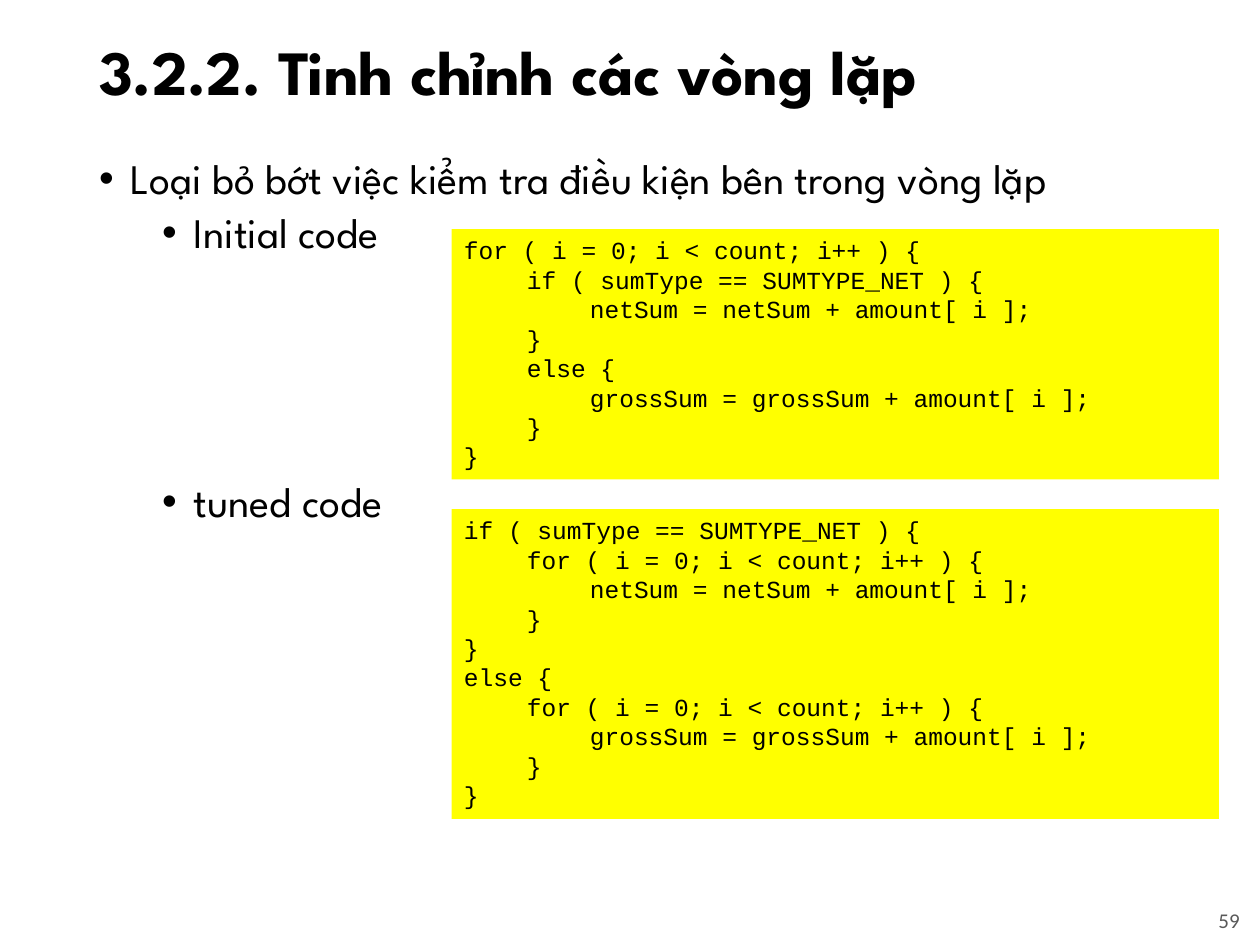
import pptx
import pptx.util
import pptx.dml.color
import pptx.enum.shapes
import pptx.enum.text
import pptx.oxml.ns
import lxml.etree
from dataclasses import dataclass

Pt = pptx.util.Pt
ALIGN = pptx.enum.text.PP_ALIGN
ANCHOR = pptx.enum.text.MSO_ANCHOR
COLORS = {"text": "000000", "code": "FFFF00", "number": "595959"}
STEP = 36


@dataclass
class Bullet:
    text: str
    level: int
    indent: float
    before: float


@dataclass
class CodeBox:
    top: float
    height: float
    lines: list[tuple[int, str]]


BULLETS = [
    Bullet("Loại bỏ bớt việc kiểm tra điều kiện bên trong vòng lặp", 0, 18, 10),
    Bullet("Initial code", 1, 54, 5),
    Bullet("tuned code", 1, 54, 128),
]
FOR = "for ( i = 0; i < count; i++ ) {"
IF = "if ( sumType == SUMTYPE_NET ) {"
ELSE = "else {"
NET = "netSum = netSum + amount[ i ];"
GROSS = "grossSum = grossSum + amount[ i ];"
END = "}"
CODE_BOXES = [
    CodeBox(131, 143, [(0, FOR), (1, IF), (2, NET), (1, END),
                       (1, ELSE), (2, GROSS), (1, END), (0, END)]),
    CodeBox(291, 177, [(0, IF), (1, FOR), (2, NET), (1, END), (0, END),
                       (0, ELSE), (1, FOR), (2, GROSS), (1, END), (0, END)]),
]


def rgb(name: str):
    return pptx.dml.color.RGBColor.from_string(COLORS[name])


def apply(obj, values: dict) -> None:
    for name, value in values.items():
        setattr(obj, name, value)


def place(sp, left: float, top: float, width: float, height: float) -> None:
    apply(sp, {"left": Pt(left), "top": Pt(top), "width": Pt(width), "height": Pt(height)})


def add_text(p, text: str, font: str, size: float, color: str = "text", bold: bool = False) -> None:
    r = p.add_run()
    r.text = text
    apply(r.font, {"name": font, "size": Pt(size), "bold": bold})
    r.font.color.rgb = rgb(color)


def set_indent(p, left: float, first: float = 0, bullet: str = "") -> None:
    pPr = p._p.get_or_add_pPr()
    pPr.set("marL", str(Pt(left)))
    pPr.set("indent", str(Pt(first)))
    if bullet:
        qn = pptx.oxml.ns.qn
        lxml.etree.SubElement(pPr, qn("a:buFont")).set("typeface", "Arial")
        lxml.etree.SubElement(pPr, qn("a:buChar")).set("char", bullet)


def paragraph(tf, index: int):
    return tf.add_paragraph() if index else tf.paragraphs[0]


def draw_title(sp, text: str) -> None:
    place(sp, 49.5, 11.5, 621, 62.5)
    tf = sp.text_frame
    apply(tf, {"vertical_anchor": ANCHOR.MIDDLE, "auto_size": pptx.enum.text.MSO_AUTO_SIZE.NONE})
    p = tf.paragraphs[0]
    apply(p, {"alignment": ALIGN.LEFT, "line_spacing": 0.9})
    add_text(p, text, "League Spartan", 36, bold=True)


def draw_bullets(sp, bullets: list[Bullet]) -> None:
    place(sp, 49.5, 86.5, 621, 392.5)
    tf = sp.text_frame
    tf.auto_size = pptx.enum.text.MSO_AUTO_SIZE.NONE
    for i, item in enumerate(bullets):
        p = paragraph(tf, i)
        apply(p, {"level": item.level, "line_spacing": 0.9, "space_before": Pt(item.before)})
        set_indent(p, item.indent, -18, "•")
        add_text(p, item.text, "League Spartan", 24)


def draw_code(s, box: CodeBox) -> None:
    sp = s.shapes.add_shape(pptx.enum.shapes.MSO_SHAPE.RECTANGLE,
                            Pt(258), Pt(box.top), Pt(438.5), Pt(box.height))
    sp.shadow.inherit = False
    sp.fill.solid()
    sp.fill.fore_color.rgb = rgb("code")
    sp.line.fill.background()
    tf = sp.text_frame
    apply(tf, {"word_wrap": True, "vertical_anchor": ANCHOR.TOP})
    for i, (depth, text) in enumerate(box.lines):
        p = paragraph(tf, i)
        apply(p, {"alignment": ALIGN.LEFT, "line_spacing": Pt(16.8)})
        set_indent(p, depth * STEP)
        add_text(p, text, "Courier New", 14)


def draw_number(s, text: str) -> None:
    tf = s.shapes.add_textbox(Pt(625.5), Pt(511), Pt(90), Pt(29)).text_frame
    apply(tf, {"word_wrap": True, "vertical_anchor": ANCHOR.MIDDLE})
    p = tf.paragraphs[0]
    p.alignment = ALIGN.RIGHT
    add_text(p, text, "Calibri", 12, "number")


def main() -> None:
    prs = pptx.Presentation()
    apply(prs, {"slide_width": Pt(720), "slide_height": Pt(540)})
    s = prs.slides.add_slide(prs.slide_layouts[1])
    draw_title(s.shapes.title, "3.2.2. Tinh chỉnh các vòng lặp")
    draw_bullets(s.placeholders[1], BULLETS)
    for box in CODE_BOXES:
        draw_code(s, box)
    draw_number(s, "59")
    prs.save("out.pptx")


if __name__ == "__main__":
    main()
